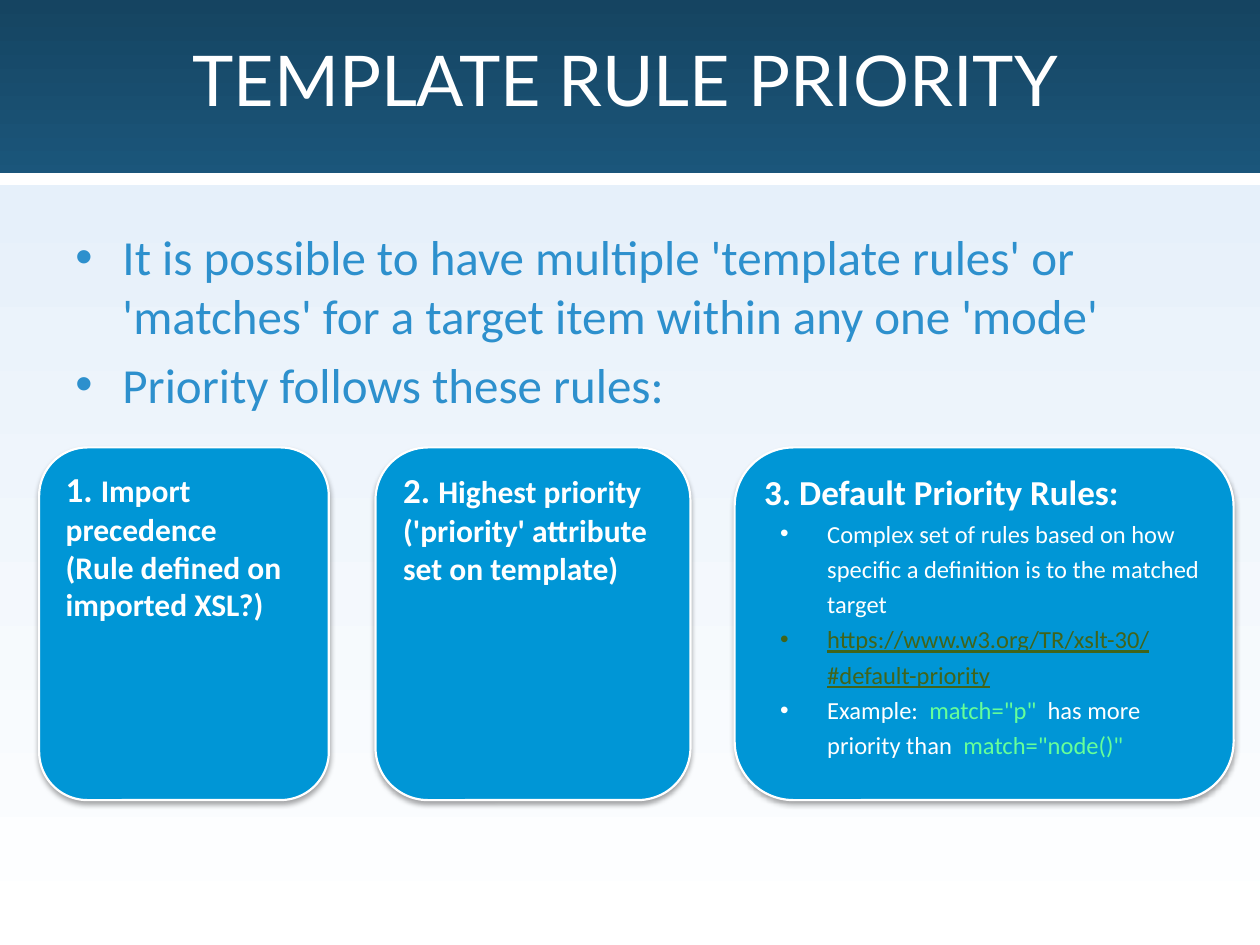
from dataclasses import dataclass

import lxml.etree
import pptx
import pptx.dml.color
import pptx.enum.shapes
import pptx.enum.text
import pptx.oxml
import pptx.oxml.ns
import pptx.util

Cm = pptx.util.Cm
Pt = pptx.util.Pt
RGB = pptx.dml.color.RGBColor.from_string
qn = pptx.oxml.ns.qn
SHAPES = pptx.enum.shapes.MSO_SHAPE
ANCHOR = pptx.enum.text.MSO_ANCHOR
ALIGN = pptx.enum.text.PP_ALIGN


@dataclass(frozen=True)
class Theme:
    """Colours, fonts and type sizes of the slide."""
    white: str = "FFFFFF"
    band: tuple = ("154461", "1B567B")
    page: tuple = ("E6F0FA", "FFFFFF")
    body: str = "2D90CD"
    card: str = "0096D6"
    shadow: str = "000000"
    link: str = "41641A"
    code: str = "66FF99"
    title_font: str = "Lato"
    font: str = "Calibri"
    title_size: int = 40
    body_size: int = 28
    heading_size: int = 20
    card_size: int = 18
    rule_size: int = 14


@dataclass(frozen=True)
class Card:
    """A rounded card: place, number, heading and detailed rules."""
    left: float
    width: float
    number: str
    heading: str
    heading_size: int
    rules: tuple = ()


T = Theme()
SLIDE_W, SLIDE_H, BAND_H = 25.4, 19.05, 3.61
CARD_TOP, CARD_H = 9.02, 7.11
HANGING = 0.95

POINTS = (
    "It is possible to have multiple 'template rules' or "
    "'matches' for a target item within any one 'mode'",
    "Priority follows these rules:",
)
RULES = (
    (("Complex set of rules based on how specific a definition is "
      "to the matched target", {}),),
    (("https://www.w3.org/TR/xslt-30/#default-priority",
      {"color": T.link, "underline": True}),),
    (("Example:  ", {}), ('match="p"', {"color": T.code}),
     ("  has more priority than  ", {}), ('match="node()"', {"color": T.code})),
)
CARDS = (
    Card(0.79, 5.84, "1. ", "Import precedence\n(Rule defined on imported XSL?)",
         T.card_size),
    Card(7.57, 6.35, "2. ",
         "Highest priority ('priority' attribute set on template)", T.card_size),
    Card(14.81, 10.06, "3. ", "Default Priority Rules:", T.heading_size, RULES),
)


def add_text(p, text: str, *, size: int, color: str = T.white, font: str = T.font,
             bold: bool = False, underline: bool = False) -> None:
    """Add formatted text to a paragraph, with a line break at each newline."""
    for i, line in enumerate(text.split("\n")):
        if i:
            p.add_line_break()
        r = p.add_run()
        r.text = line
        r.font.name, r.font.size = font, Pt(size)
        r.font.bold, r.font.underline = bold, underline
        r.font.color.rgb = RGB(color)


def add_bullet(p, indent: float) -> None:
    """Give a paragraph a round bullet and a hanging indent in centimetres."""
    pPr = p._p.get_or_add_pPr()
    pPr.set("marL", str(int(Cm(indent))))
    pPr.set("indent", str(-int(Cm(HANGING))))
    lxml.etree.SubElement(pPr, qn("a:buFont")).set("typeface", "Arial")
    lxml.etree.SubElement(pPr, qn("a:buChar")).set("char", "\u2022")


def add_panel(slide, top: float, height: float, colors: tuple) -> None:
    """Add a full-width panel with a gradient running downwards."""
    sp = slide.shapes.add_shape(SHAPES.RECTANGLE, 0, Cm(top), Cm(SLIDE_W), Cm(height))
    sp.shadow.inherit = False
    sp.line.fill.background()
    sp.fill.gradient()
    sp.fill.gradient_angle = 270
    for i, (stop, color) in enumerate(zip(sp.fill.gradient_stops, colors)):
        stop.position = i
        stop.color.rgb = RGB(color)


def add_divider(slide) -> None:
    """Add the white line between the title band and the page."""
    line = slide.shapes.add_connector(pptx.enum.shapes.MSO_CONNECTOR.STRAIGHT,
                                      Cm(SLIDE_W), Cm(BAND_H), 0, Cm(BAND_H))
    line.line.color.rgb = RGB(T.white)
    line.line.width = Pt(6.5)
    lxml.etree.SubElement(line._element.spPr, qn("a:effectLst"))


def add_title(slide, text: str) -> None:
    """Place the title placeholder above the band and fill it."""
    sp = slide.shapes.title
    slide.shapes._spTree.append(sp._element)
    sp.left, sp.top, sp.width, sp.height = Cm(1.17), Cm(0), Cm(22.86), Cm(3.18)
    tf = sp.text_frame
    tf.vertical_anchor = ANCHOR.MIDDLE
    p = tf.paragraphs[0]
    p.alignment = ALIGN.CENTER
    add_text(p, text, size=T.title_size, font=T.title_font)


def add_points(slide) -> None:
    """Add the introductory bullet points."""
    sp = slide.shapes.add_textbox(Cm(1.27), Cm(4.45), Cm(22.86), Cm(12.57))
    tf = sp.text_frame
    tf.word_wrap = True
    for i, text in enumerate(POINTS):
        p = tf.add_paragraph() if i else tf.paragraphs[0]
        p.space_before = Pt(0.2 * T.body_size)
        add_bullet(p, HANGING)
        add_text(p, text, size=T.body_size, color=T.body)


def add_shadow(sp) -> None:
    """Give a shape a soft shadow below it."""
    sp.shadow.inherit = False
    effects = sp._element.spPr.find(qn("a:effectLst"))
    effects.append(pptx.oxml.parse_xml(
        f'<a:outerShdw {pptx.oxml.ns.nsdecls("a")} blurRad="{int(Pt(3.1))}" '
        f'dist="{int(Pt(1.8))}" dir="5400000" rotWithShape="0">'
        f'<a:srgbClr val="{T.shadow}"><a:alpha val="35000"/></a:srgbClr>'
        '</a:outerShdw>'))


def add_card(slide, card: Card) -> None:
    """Add one numbered card with its heading and rules."""
    sp = slide.shapes.add_shape(SHAPES.ROUNDED_RECTANGLE, Cm(card.left), Cm(CARD_TOP),
                                Cm(card.width), Cm(CARD_H))
    sp.fill.solid()
    sp.fill.fore_color.rgb = RGB(T.card)
    sp.line.color.rgb = RGB(T.white)
    sp.line.width = Pt(1.25)
    add_shadow(sp)
    tf = sp.text_frame
    tf.word_wrap = True
    tf.vertical_anchor = ANCHOR.TOP
    p = tf.paragraphs[0]
    p.alignment = ALIGN.LEFT
    add_text(p, card.number, size=T.heading_size, bold=True)
    add_text(p, card.heading, size=card.heading_size, bold=True)
    for rule in card.rules:
        p = tf.add_paragraph()
        p.alignment = ALIGN.LEFT
        p.line_spacing = 1.2
        add_bullet(p, 1.27)
        for text, style in rule:
            add_text(p, text, size=T.rule_size, **style)


def main() -> None:
    """Build the slide and save it."""
    prs = pptx.Presentation()
    prs.slide_width, prs.slide_height = Cm(SLIDE_W), Cm(SLIDE_H)
    slide = prs.slides.add_slide(prs.slide_layouts[5])
    add_panel(slide, 0, BAND_H, T.band)
    add_panel(slide, BAND_H, SLIDE_H - BAND_H, T.page)
    add_divider(slide)
    add_title(slide, "TEMPLATE RULE PRIORITY")
    add_points(slide)
    for card in CARDS:
        add_card(slide, card)
    prs.save("out.pptx")


main()
